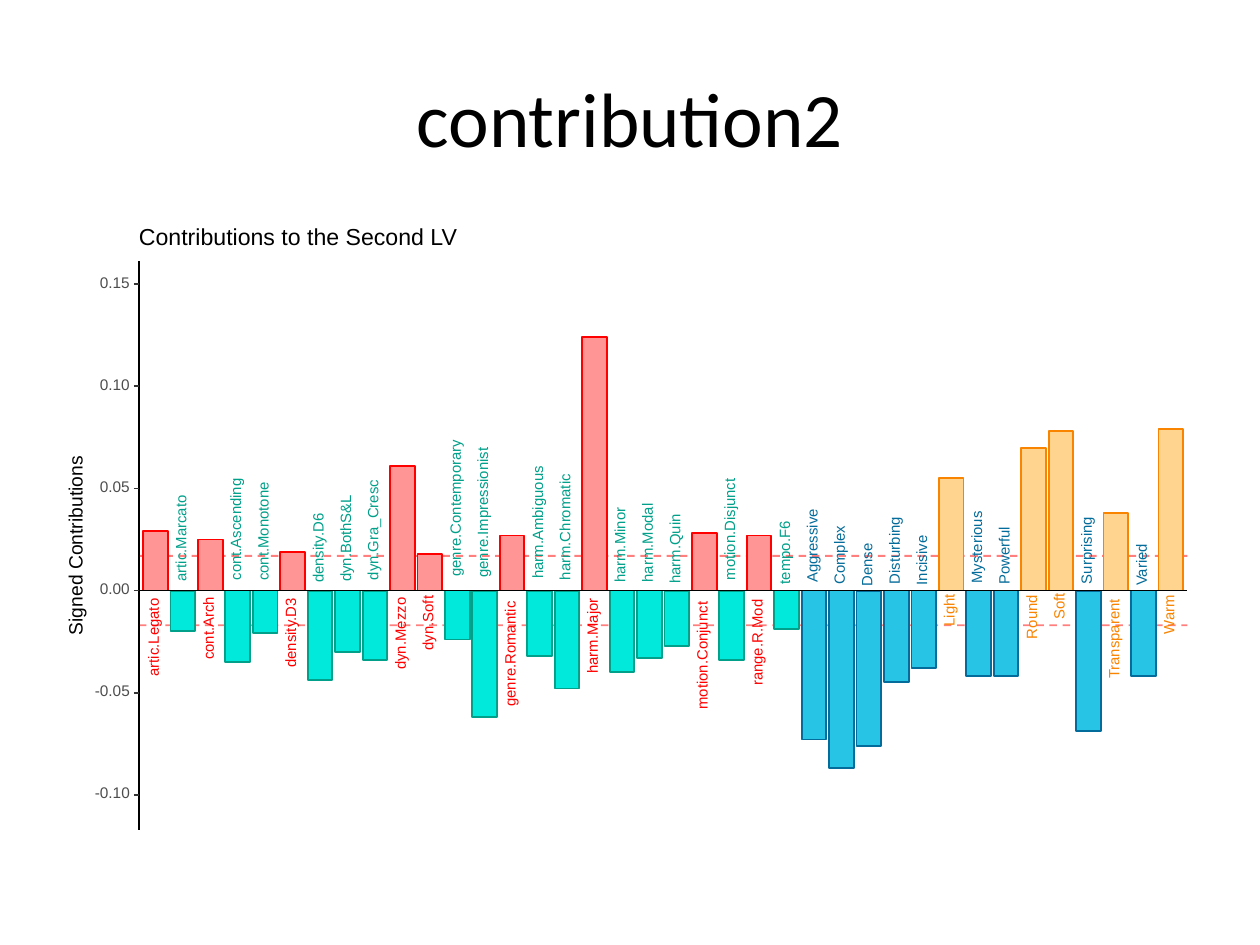
"""Build a slide with a signed contribution bar plot."""
from dataclasses import dataclass
from lxml import etree
from pptx import Presentation
from pptx import util as u
from pptx.dml.color import RGBColor
from pptx.enum import dml, shapes, text
from pptx.oxml.ns import qn


@dataclass(frozen=True)
class Theme:
    head: str = "Calibri"
    body: str = "Arial"
    ink: str = "000000"
    mark: str = "333333"
    tick: str = "4D4D4D"
    alert: str = "FF0000"
    line: float = 1.07
    title: float = 44
    sub: float = 13.2
    axis: float = 11
    scale: float = 8.8
    label: float = 8.5


@dataclass(frozen=True)
class Box:
    x: float
    y: float
    w: float
    h: float


@dataclass(frozen=True)
class Group:
    fill: str
    edge: str


@dataclass(frozen=True)
class Bar:
    name: str
    value: float
    span: float
    group: Group


T = Theme()
COLS, ROWS = 100, 75
CELL = u.Inches(10) // COLS
PLOT = Box(11.03, 20.74, 83.2, 45.13)
ZERO, UNIT = 46.87, 162
LIMIT = 0.017
TICKS = (-0.1, -0.05, 0, 0.05, 0.1, 0.15)
SLACK = 1
MUSIC = Group("FF9595", "FF0000"), Group("00E9DA", "00A08A")
MOOD = Group("FFD48E", "F98400"), Group("27C4E5", "046C9A")

SOUNDS = [
    ("artic.Legato", 0.029, 6.2), ("artic.Marcato", -0.02, 6.9),
    ("cont.Arch", 0.025, 5), ("cont.Ascending", -0.035, 8.1),
    ("cont.Monotone", -0.021, 7.8), ("density.D3", 0.019, 5.6),
    ("density.D6", -0.044, 5.6), ("dyn.BothS&L", -0.03, 6.9),
    ("dyn.Gra_Cresc", -0.034, 8), ("dyn.Mezzo", 0.061, 5.7),
    ("dyn.Soft", 0.018, 4.3), ("genre.Contemporary", -0.024, 10.9),
    ("genre.Impressionist", -0.062, 10.3), ("genre.Romantic", 0.027, 8.4),
    ("harm.Ambiguous", -0.032, 9), ("harm.Chromatic", -0.048, 8.4),
    ("harm.Major", 0.124, 6), ("harm.Minor", -0.04, 6),
    ("harm.Modal", -0.033, 6.3), ("harm.Quin", -0.027, 5.5),
    ("motion.Conjunct", 0.028, 8.6), ("motion.Disjunct", -0.034, 8.1),
    ("range.R.Mod", 0.027, 6.9), ("tempo.F6", -0.019, 5),
]
FEELS = [
    ("Aggressive", -0.073, 5.9), ("Complex", -0.087, 4.7),
    ("Dense", -0.076, 3.4), ("Disturbing", -0.045, 5.3),
    ("Incisive", -0.038, 4), ("Light", 0.055, 2.6),
    ("Mysterious", -0.042, 5.7), ("Powerful", -0.042, 4.6),
    ("Round", 0.07, 3.5), ("Soft", 0.078, 2.1),
    ("Surprising", -0.069, 5.3), ("Transparent", 0.038, 6.4),
    ("Varied", -0.042, 3.4), ("Warm", 0.079, 3.2),
]
BARS = [Bar(*row, pair[row[1] < 0])
        for rows, pair in ((SOUNDS, MUSIC), (FEELS, MOOD)) for row in rows]
STEP = PLOT.w / (len(BARS) + 0.2)


def cells(*vals: float) -> list[int]:
    """Turn grid cells into slide lengths."""
    return [round(val * CELL) for val in vals]


def level(value: float) -> float:
    """Give the row of a value."""
    return ZERO - value * UNIT


def write(page, words: str, box: Box, size: float, tint: str = T.ink, turn: int = 0):
    """Add one tight line of text."""
    shape = page.shapes.add_textbox(*cells(box.x, box.y, box.w, box.h))
    shape.rotation = turn
    frame = shape.text_frame
    frame.text = words
    frame.word_wrap = False
    frame.vertical_anchor = text.MSO_ANCHOR.MIDDLE
    frame.margin_left = frame.margin_right = frame.margin_top = frame.margin_bottom = 0
    para = frame.paragraphs[0]
    para.line_spacing = u.Pt(size)
    font = para.runs[0].font
    font.name, font.size = T.body, u.Pt(size)
    font.color.rgb = RGBColor.from_string(tint)
    return para


def upright(page, words: str, x: float, y: float, span: float, size: float, tint: str) -> None:
    """Add text that reads upward around a centre."""
    wide = span + SLACK
    para = write(page, words, Box(x - wide / 2, y - 0.5, wide, 1), size, tint, 270)
    para.alignment = text.PP_ALIGN.CENTER


def rule(page, x: float, y: float, w: float, h: float, tint: str):
    """Draw a straight line from a point over a width and a height."""
    line = page.shapes.add_connector(
        shapes.MSO_CONNECTOR.STRAIGHT, *cells(x, y, x + w, y + h))
    line.line.width = u.Pt(T.line)
    line.line.color.rgb = RGBColor.from_string(tint)
    etree.SubElement(line._element.spPr, qn("a:effectLst"))
    return line


def limit(page, value: float) -> None:
    """Draw a dashed threshold across the plot."""
    line = rule(page, PLOT.x, level(value), PLOT.w, 0, T.alert)
    line.line.dash_style = dml.MSO_LINE.DASH
    tint = next(line._element.spPr.iter(qn("a:srgbClr")))
    etree.SubElement(tint, qn("a:alpha")).set("val", "50000")


def centre(col: int) -> float:
    """Give the middle of a bar's column."""
    return PLOT.x + (col + 0.6) * STEP


def column(page, col: int, bar: Bar) -> None:
    """Draw one bar from the zero line."""
    wide = 0.9 * STEP
    shape = page.shapes.add_shape(
        shapes.MSO_SHAPE.RECTANGLE,
        *cells(centre(col) - wide / 2, level(max(bar.value, 0)), wide, abs(bar.value) * UNIT))
    shape.shadow.inherit = False
    shape.fill.solid()
    shape.fill.fore_color.rgb = RGBColor.from_string(bar.group.fill)
    shape.line.color.rgb = RGBColor.from_string(bar.group.edge)
    shape.line.width = u.Pt(T.line)


def caption(page, col: int, bar: Bar) -> None:
    """Name a bar on the far side of the zero line."""
    side = 1 if bar.value > 0 else -1
    upright(page, bar.name, centre(col) - 0.08, ZERO + side * 0.6 * bar.span,
            bar.span, T.label, bar.group.edge)


def scale(page) -> None:
    """Draw both axes with ticks and values."""
    rule(page, PLOT.x, ZERO, PLOT.w, 0, T.ink)
    rule(page, PLOT.x, PLOT.y, 0, PLOT.h, T.ink)
    for value in TICKS:
        y = level(value)
        wide = 2.8 if value < 0 else 2.4
        write(page, f"{value:.2f}", Box(PLOT.x - 0.7 - wide, y - 0.5, wide, 0.9),
              T.scale, T.tick)
        rule(page, PLOT.x - 0.4, y, 0.4, 0, T.mark)


def main() -> None:
    """Compose and save the slide."""
    deck = Presentation()
    deck.slide_width, deck.slide_height = cells(COLS, ROWS)
    page = deck.slides.add_slide(deck.slide_layouts[6])
    title = write(page, "contribution2", Box(5, 3, 90, 12.5), T.title)
    title.alignment = text.PP_ALIGN.CENTER
    title.line_spacing = 1.0
    title.runs[0].font.name = T.head
    for sign in (1, -1):
        limit(page, sign * LIMIT)
    for draw in (column, caption):
        for col, bar in enumerate(BARS):
            draw(page, col, bar)
    scale(page)
    upright(page, "Signed Contributions", 6.1, 43.3, 14.2, T.axis, T.ink)
    write(page, "Contributions to the Second LV", Box(PLOT.x, 18.2, 25.4, 1.4), T.sub)
    deck.save("out.pptx")


main()
